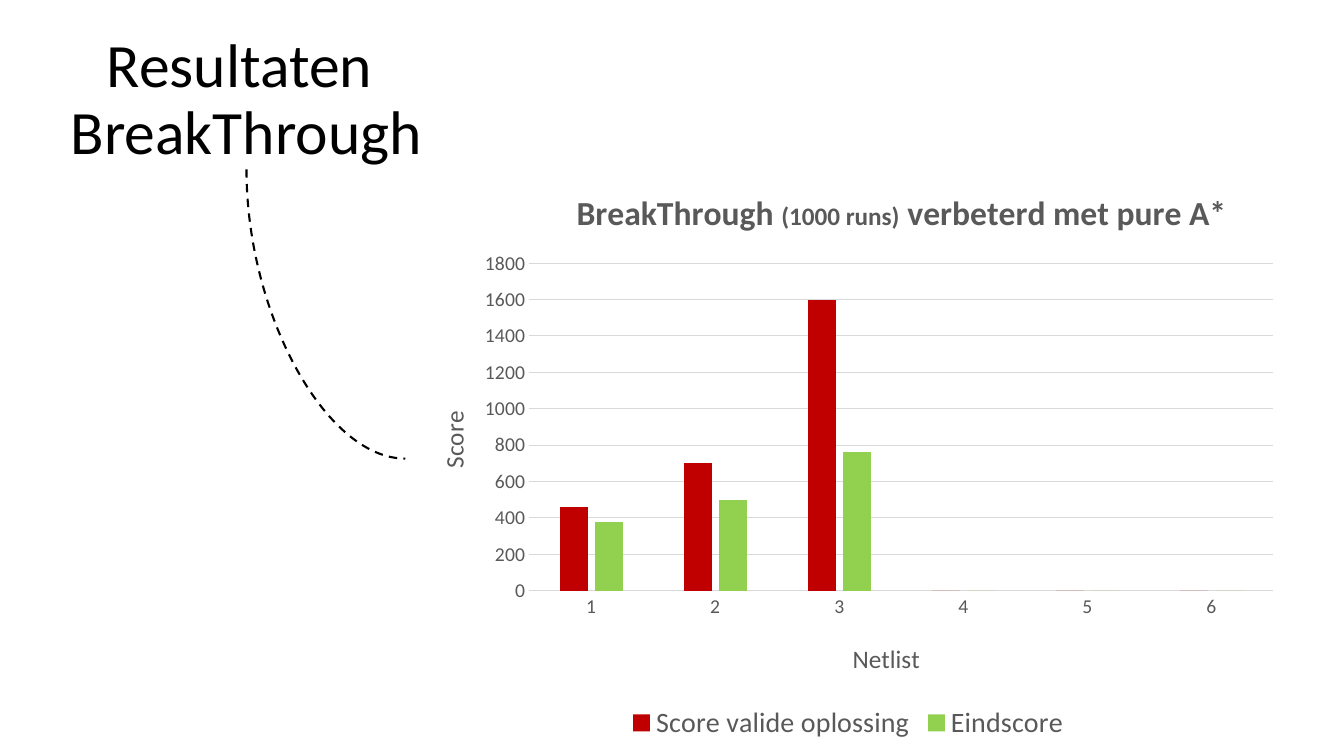
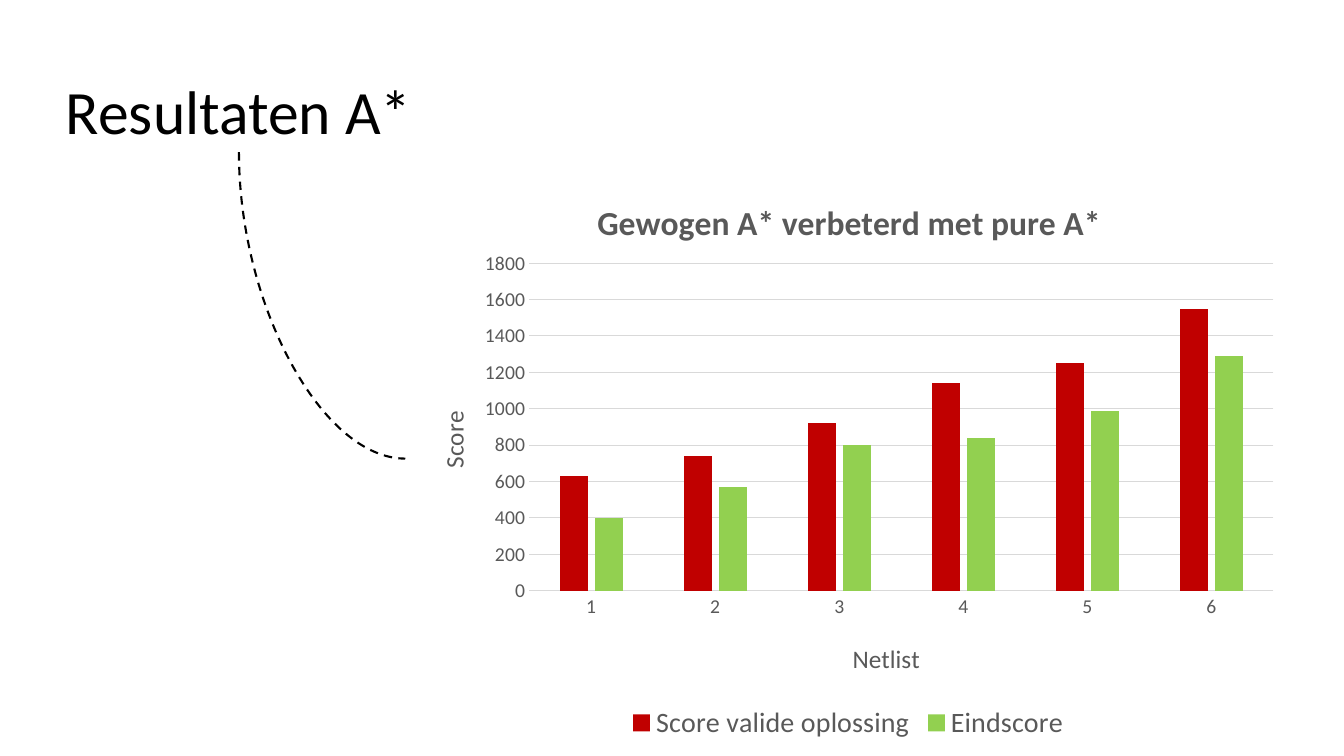
import pptx
import pptx.chart.data
import pptx.dml.color
import pptx.enum.chart
import pptx.enum.dml
import pptx.enum.shapes
import pptx.enum.text
import pptx.oxml
import pptx.oxml.ns
import pptx.util

Pt = pptx.util.Pt
qn = pptx.oxml.ns.qn

THEME = {
    "font": "Calibri",
    "black": "000000",
    "gray": "595959",
    "grid": "D9D9D9",
    "series": ["C00000", "92D050"],
    "heading": 44,
    "chart_title": 24,
    "chart_note": 18,
    "axis_title": 18,
    "tick": 14,
    "legend": 20,
}

NETLISTS = ["1", "2", "3", "4", "5", "6"]
SERIES_NAMES = ["Score valide oplossing", "Eindscore"]
CHART_BOX = (289.44, 122.4, 632.88, 410.4)

# Layout fractions of the chart area
PLOT_AREA = (0.14, 0.16, 0.84, 0.57)
SCORE_TITLE = (0.03, 0.41)
NETLIST_TITLE = (0.5, 0.81)

SLIDES = [
    {
        "title": "Resultaten \vBreakThrough",
        "title_box": (-108.72, 23.76, 569.52, 97.2),
        "chart_title": [
            ("BreakThrough ", "chart_title"),
            ("(1000 runs)", "chart_note"),
            (" verbeterd met pure A*", "chart_title"),
        ],
        "chart_title_at": (0.19, 0.03),
        "scores": [(460, 700, 1600, 0, 0, 0), (380, 500, 760, 0, 0, 0)],
    },
    {
        "title": "Resultaten A*",
        "title_box": (-187.92, 55.44, 717.12, 53.28),
        "chart_title": [("Gewogen A* verbeterd met pure A*", "chart_title")],
        "chart_title_at": (0.21, 0.04),
        "scores": [
            (630, 740, 920, 1140, 1250, 1550),
            (400, 570, 800, 840, 990, 1290),
        ],
    },
]


def rgb(value):
    return pptx.dml.color.RGBColor.from_string(value)


def set_attributes(target, values):
    for name, value in values.items():
        setattr(target, name, value)


def style_font(font, size, color, bold=False):
    set_attributes(font, {"name": THEME["font"], "size": Pt(THEME[size]), "bold": bold})
    font.color.rgb = rgb(THEME[color])


def place(shape, box):
    names = ("left", "top", "width", "height")
    set_attributes(shape, dict(zip(names, map(Pt, box))))


def set_layout(element, index, fractions):
    """Pin a chart part by fractions: x, y and, for the plot area, width, height."""
    for old in element.findall(qn("c:layout")):
        element.remove(old)
    target = '<c:layoutTarget val="inner"/>' if len(fractions) == 4 else ""
    keys = ("x", "y", "w", "h")[: len(fractions)]
    modes = "".join(f'<c:{key}Mode val="edge"/>' for key in keys[:2])
    values = "".join(f'<c:{key} val="{value}"/>' for key, value in zip(keys, fractions))
    element.insert(index, pptx.oxml.parse_xml(
        f'<c:layout {pptx.oxml.ns.nsdecls("c")}><c:manualLayout>'
        f"{target}{modes}{values}</c:manualLayout></c:layout>"))


def write_chart_text(title, runs, position, bold=False):
    paragraph = title.text_frame.paragraphs[0]
    for text, size in runs:
        run = paragraph.add_run()
        run.text = text
        style_font(run.font, size, "gray", bold)
    set_layout(title._element, 1, position)


def style_axis(axis, text, position):
    set_attributes(axis, {
        "major_tick_mark": pptx.enum.chart.XL_TICK_MARK.NONE,
        "minor_tick_mark": pptx.enum.chart.XL_TICK_MARK.NONE,
    })
    style_font(axis.tick_labels.font, "tick", "gray")
    write_chart_text(axis.axis_title, [(text, "axis_title")], position)


def style_line(line, color, width):
    line.color.rgb = rgb(THEME[color])
    line.width = Pt(width)


def add_title(slide, content):
    title = slide.shapes.title
    place(title, content["title_box"])
    frame = title.text_frame
    frame.text = content["title"]
    set_attributes(frame, {
        "word_wrap": True,
        "auto_size": pptx.enum.text.MSO_AUTO_SIZE.NONE,
        "vertical_anchor": pptx.enum.text.MSO_ANCHOR.MIDDLE,
    })
    paragraph = frame.paragraphs[0]
    set_attributes(paragraph, {
        "alignment": pptx.enum.text.PP_ALIGN.CENTER,
        "line_spacing": 0.9,
    })
    for run in paragraph.runs:
        style_font(run.font, "heading", "black")
    return title


def add_score_chart(slide, content):
    data = pptx.chart.data.CategoryChartData()
    data.categories = NETLISTS
    for name, scores in zip(SERIES_NAMES, content["scores"]):
        data.add_series(name, scores)
    frame = slide.shapes.add_chart(
        pptx.enum.chart.XL_CHART_TYPE.COLUMN_CLUSTERED, *map(Pt, CHART_BOX), data)
    chart = frame.chart
    style_font(chart.font, "tick", "gray")
    write_chart_text(chart.chart_title, content["chart_title"],
                     content["chart_title_at"], bold=True)

    plot = chart.plots[0]
    set_attributes(plot, {"gap_width": 219, "overlap": -27, "vary_by_categories": False})
    for series, color in zip(plot.series, THEME["series"]):
        series.format.fill.solid()
        series.format.fill.fore_color.rgb = rgb(color)

    style_axis(chart.category_axis, "Netlist", NETLIST_TITLE)
    style_line(chart.category_axis.format.line, "grid", 0.75)
    score_axis = chart.value_axis
    style_axis(score_axis, "Score", SCORE_TITLE)
    set_attributes(score_axis, {
        "minimum_scale": 0, "maximum_scale": 1800, "major_unit": 200,
        "has_major_gridlines": True,
    })
    score_axis.format.line.fill.background()
    style_line(score_axis.major_gridlines.format.line, "grid", 0.75)
    body = score_axis.axis_title.text_frame._txBody.bodyPr
    body.set("rot", "-5400000")
    body.set("vert", "horz")

    chart.has_legend = True
    set_attributes(chart.legend, {
        "position": pptx.enum.chart.XL_LEGEND_POSITION.BOTTOM,
        "include_in_layout": False,
    })
    style_font(chart.legend.font, "legend", "gray")
    set_layout(chart._chartSpace.find(".//" + qn("c:plotArea")), 0, PLOT_AREA)
    return frame


def add_curve(slide, title, chart_frame):
    """Join the title's bottom to the chart's left side with one quarter bend."""
    curve = slide.shapes.add_connector(
        pptx.enum.shapes.MSO_CONNECTOR.CURVE, 0, 0, 0, 0)
    curve.begin_connect(title, 2)
    curve.end_connect(chart_frame, 1)
    across = curve.end_x - curve.begin_x
    down = curve.end_y - curve.begin_y
    # The bend is drawn lying down, then turned a quarter about its centre
    set_attributes(curve, {
        "left": curve.begin_x + (across - down) // 2,
        "top": curve.begin_y + (down - across) // 2,
        "width": down,
        "height": across,
    })
    properties = curve._element.spPr
    transform = properties.find(qn("a:xfrm"))
    transform.set("rot", "16200000")
    transform.set("flipH", "1")
    properties.find(qn("a:prstGeom")).set("prst", "curvedConnector2")
    style_line(curve.line, "black", 1.5)
    curve.line.dash_style = pptx.enum.dml.MSO_LINE.DASH
    properties.append(pptx.oxml.parse_xml(
        f'<a:effectLst {pptx.oxml.ns.nsdecls("a")}/>'))


def main():
    presentation = pptx.Presentation()
    set_attributes(presentation, {"slide_width": Pt(960), "slide_height": Pt(540)})
    title_only = presentation.slide_layouts[5]
    for content in SLIDES:
        slide = presentation.slides.add_slide(title_only)
        title = add_title(slide, content)
        chart_frame = add_score_chart(slide, content)
        add_curve(slide, title, chart_frame)
    presentation.save("out.pptx")


if __name__ == "__main__":
    main()
